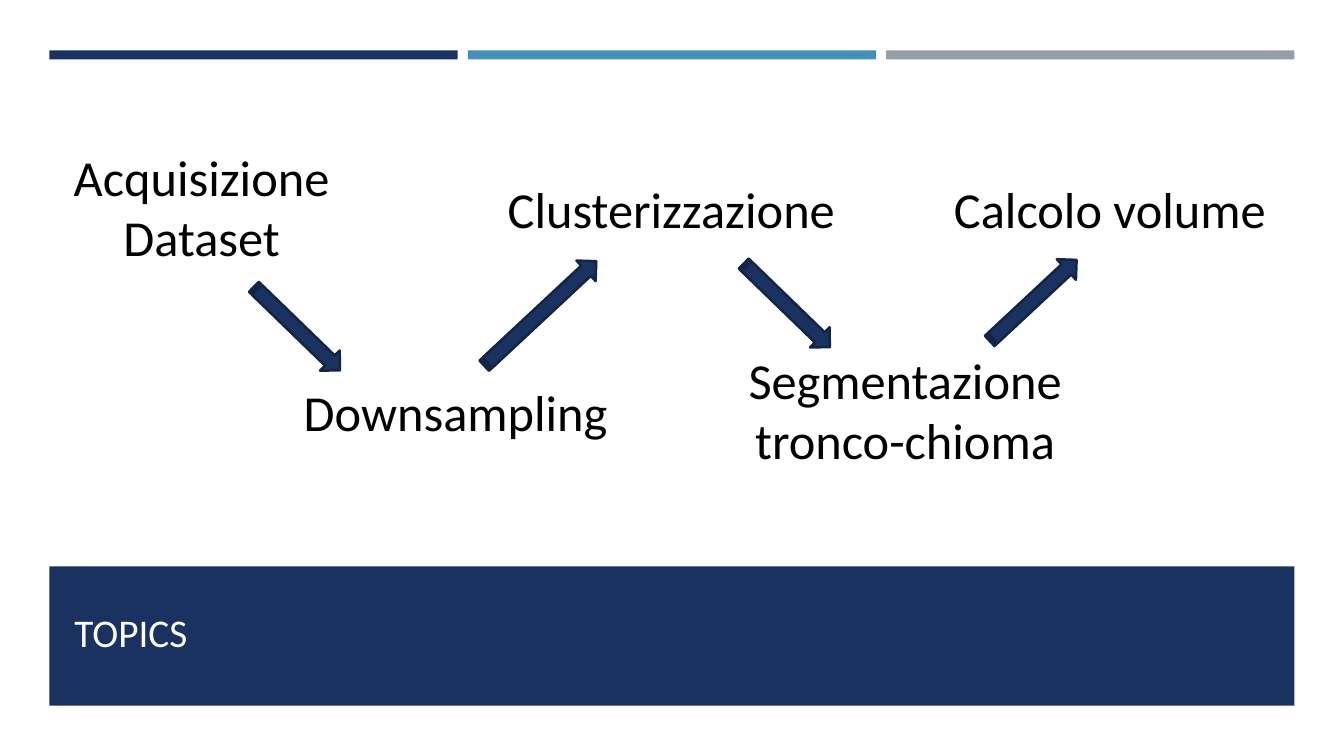
from dataclasses import dataclass

from pptx import Presentation
from pptx import util as u
from pptx.dml.color import RGBColor
from pptx.enum import shapes, text

SLIDE_WIDTH, SLIDE_HEIGHT = u.Inches(13.333), u.Inches(7.5)


@dataclass(frozen=True)
class Theme:
    font: str = "Calibri"
    title_size: int = 28
    step_size: int = 36
    outline_width: float = 1.75
    navy: str = "1A3260"
    blue: str = "4590B8"
    grey: str = "969FA7"
    outline: str = "132547"
    title: str = "FFFEFF"
    step: str = "000000"


@dataclass(frozen=True)
class Box:
    """Place and size in percent of the slide's width and height."""
    left: float
    top: float
    width: float
    height: float

    def emu(self) -> tuple:
        return (int(SLIDE_WIDTH * self.left / 100), int(SLIDE_HEIGHT * self.top / 100),
                int(SLIDE_WIDTH * self.width / 100), int(SLIDE_HEIGHT * self.height / 100))


@dataclass(frozen=True)
class Step:
    label: str
    left: float
    row: float
    lines: int = 1


@dataclass(frozen=True)
class Arrow:
    left: float
    top: float
    width: float
    rotation: float


THEME = Theme()
MARGIN = 3.68
BAR_STEP = 31.13
UPPER_ROW, LOWER_ROW = 23.6, 50.4
HALF_LINE = 4.27
DOWN, UP = 44.1, 317

STEPS = (
    Step("Acquisizione Dataset", 1.8, UPPER_ROW, lines=2),
    Step("Downsampling", 20.7, LOWER_ROW),
    Step("Clusterizzazione", 36.75, UPPER_ROW),
    Step("Segmentazione tronco-chioma", 54.15, LOWER_ROW, lines=2),
    Step("Calcolo volume", 69.38, UPPER_ROW),
)
ARROWS = (
    Arrow(17.63, 41.6, 8.93, DOWN),
    Arrow(34.5, 39.6, 11.4, UP),
    Arrow(54.08, 38.53, 8.93, DOWN),
    Arrow(72.45, 37.87, 8.85, UP),
)


def add_filled(slide, kind: shapes.MSO_SHAPE, box: Box, color: str):
    """Add a flat preset shape without an outline."""
    shape = slide.shapes.add_shape(kind, *box.emu())
    shape.shadow.inherit = False
    shape.fill.solid()
    shape.fill.fore_color.rgb = RGBColor.from_string(color)
    shape.line.fill.background()
    return shape


def add_label(slide, label: str, box: Box, size: int, color: str):
    """Add a wrapping one-paragraph text box and return its text frame."""
    frame = slide.shapes.add_textbox(*box.emu()).text_frame
    frame.word_wrap = True
    paragraph = frame.paragraphs[0]
    paragraph.text = label
    paragraph.font.name = THEME.font
    paragraph.font.size = u.Pt(size)
    paragraph.font.color.rgb = RGBColor.from_string(color)
    return frame


def add_step(slide, step: Step) -> None:
    """Add a step label, centred vertically on its row."""
    top = step.row - HALF_LINE * (step.lines - 1)
    frame = add_label(slide, step.label, Box(step.left, top, 26.4, 10.53),
                      THEME.step_size, THEME.step)
    frame.margin_left = frame.margin_right = frame.margin_top = frame.margin_bottom = 0
    frame.paragraphs[0].alignment = text.PP_ALIGN.CENTER


def add_arrow(slide, arrow: Arrow) -> None:
    shape = add_filled(slide, shapes.MSO_SHAPE.STRIPED_RIGHT_ARROW,
                       Box(arrow.left, arrow.top, arrow.width, 3.73), THEME.navy)
    shape.rotation = arrow.rotation
    shape.line.color.rgb = RGBColor.from_string(THEME.outline)
    shape.line.width = u.Pt(THEME.outline_width)


def main() -> None:
    presentation = Presentation()
    presentation.slide_width, presentation.slide_height = SLIDE_WIDTH, SLIDE_HEIGHT
    slide = presentation.slides.add_slide(presentation.slide_layouts[6])

    for column, color in enumerate((THEME.navy, THEME.blue, THEME.grey)):
        add_filled(slide, shapes.MSO_SHAPE.RECTANGLE,
                   Box(MARGIN + column * BAR_STEP, 6.67, 30.38, 1.2), color)

    add_filled(slide, shapes.MSO_SHAPE.RECTANGLE, Box(MARGIN, 74.93, 92.63, 18.4), THEME.navy)
    title = add_label(slide, "TOPICS", Box(4.8, 76.8, 90.45, 10.53),
                      THEME.title_size, THEME.title)
    title.vertical_anchor = text.MSO_ANCHOR.BOTTOM

    for step in STEPS:
        add_step(slide, step)
    for arrow in ARROWS:
        add_arrow(slide, arrow)

    presentation.save("out.pptx")


if __name__ == "__main__":
    main()
